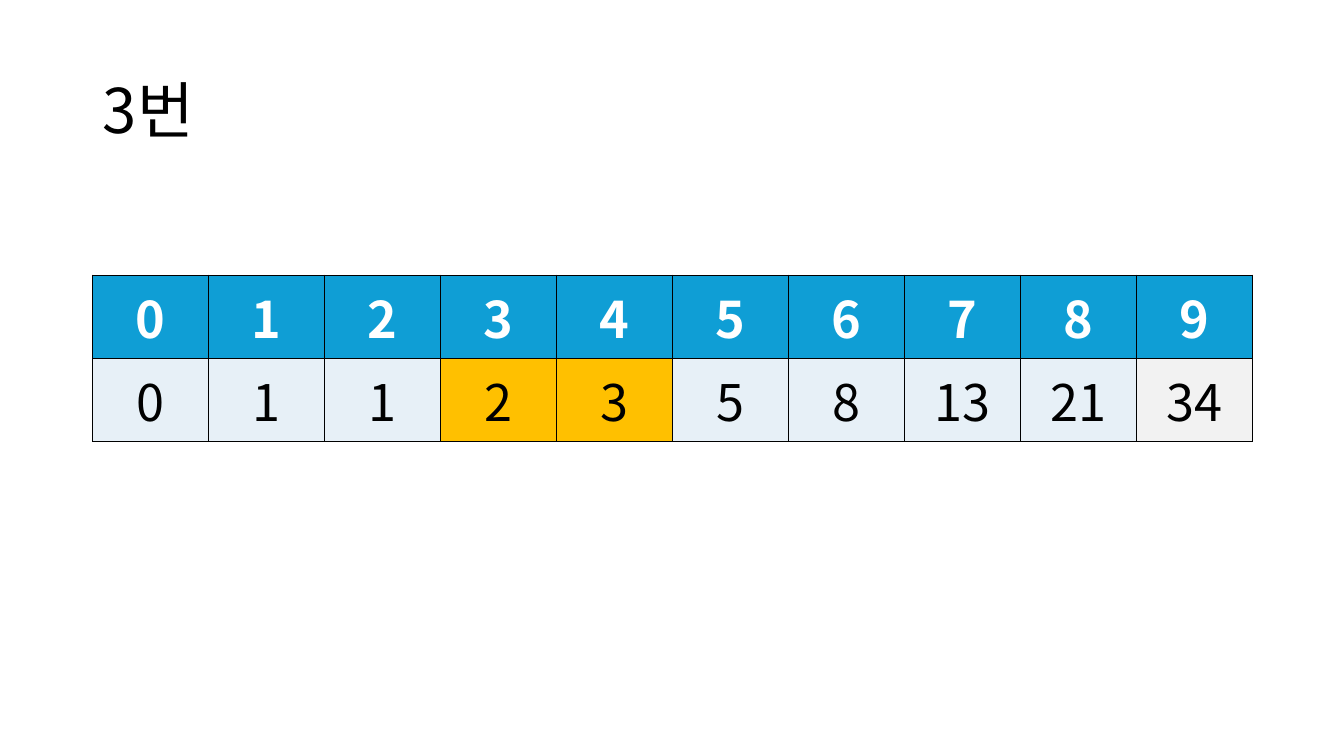
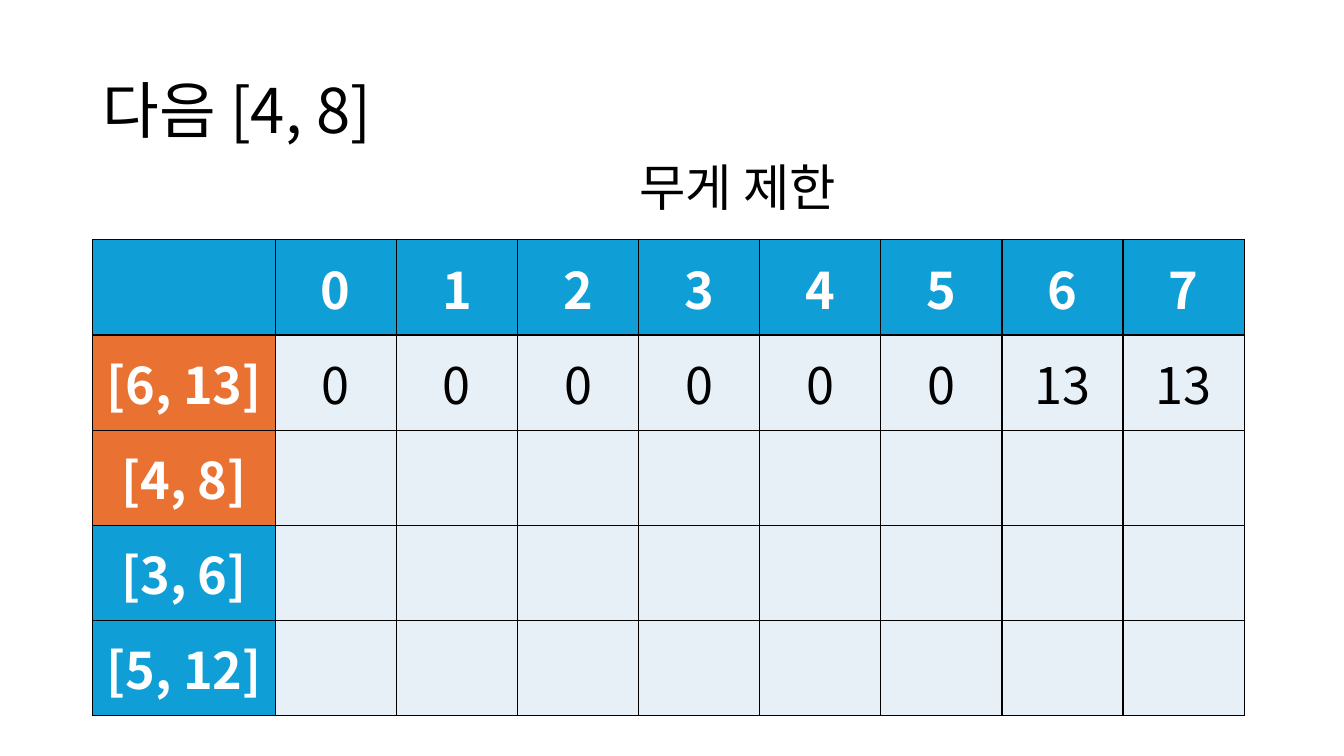
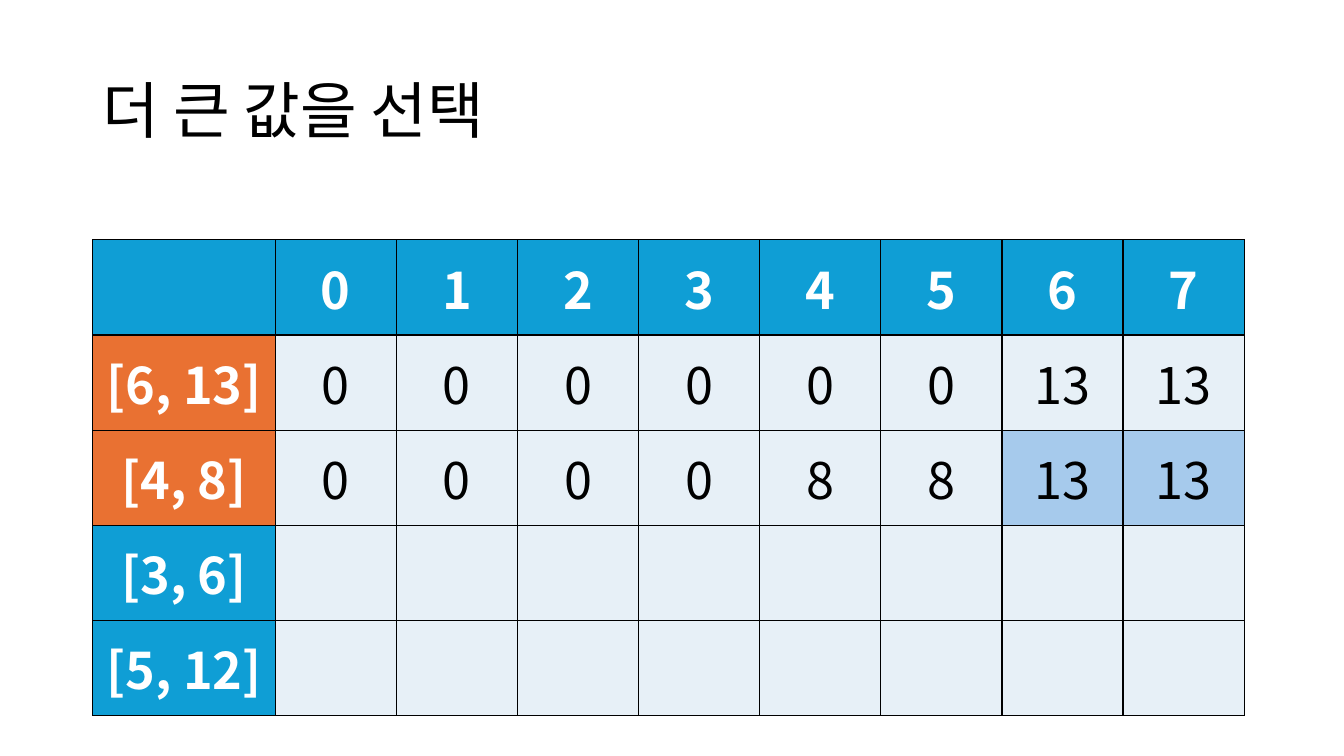
from lxml import etree
from pptx import Presentation
from pptx.dml.color import RGBColor
from pptx.enum.text import MSO_ANCHOR, PP_ALIGN
from pptx.oxml import parse_xml
from pptx.oxml.ns import nsdecls, qn
from pptx.util import Pt

LEFT, CENTER = PP_ALIGN.LEFT, PP_ALIGN.CENTER
MIDDLE = MSO_ANCHOR.MIDDLE
TITLE_ONLY = 5

# Shared look: lengths are px at 100 px to the inch
EMU_PER_PX = 9144
FONT = "Noto Sans CJK KR"
BLACK, WHITE = "000000", "FFFFFF"
HEADER, PALE, GRAY = "0F9ED5", "E7F0F7", "F2F2F2"
ORANGE, AMBER, LIGHT_BLUE = "E97132", "FFC000", "A6CAEC"
TITLE_BOX = (92, 40, 1150, 145)
SEQUENCE_BOX = (92, 273, 1150, 140)
GRID_BOX = (92, 238, 1142, 472)
LIMIT_BOX = (624, 150, 260, 71)
ITEM_COLUMN = 181

ITEMS = ["[6, 13]", "[4, 8]", "[3, 6]", "[5, 12]"]
WEIGHTS = list(range(8))
FIRST_ROW = [0, 0, 0, 0, 0, 0, 13, 13]
SECOND_ROW = [0, 0, 0, 0, 8, 8, 13, 13]


def px(length):
    return round(length * EMU_PER_PX)


def rgb(code):
    return RGBColor.from_string(code)


def write(frame, text, size=36, color=BLACK, bold=False, align=LEFT, spacing=None):
    para = frame.paragraphs[0]
    para.alignment = align
    para.line_spacing = spacing
    span = para.add_run()
    span.text = text
    span.font.size = Pt(size)
    span.font.bold = bold
    span.font.color.rgb = rgb(color)
    span.font.name = FONT
    # East Asian letters take their typeface from a separate element
    etree.SubElement(span.font._element, qn("a:ea")).set("typeface", FONT)


def add_borders(cell):
    properties = cell._tc.get_or_add_tcPr()
    for side in ("lnL", "lnR", "lnT", "lnB"):
        properties.append(parse_xml(
            f'<a:{side} {nsdecls("a")} w="{Pt(1)}"><a:solidFill>'
            f'<a:srgbClr val="{BLACK}"/></a:solidFill></a:{side}>'))


def add_titled_page(deck, title):
    page = deck.slides.add_slide(deck.slide_layouts[TITLE_ONLY])
    holder = page.shapes.title
    holder.left, holder.top, holder.width, holder.height = map(px, TITLE_BOX)
    holder.text_frame.vertical_anchor = MIDDLE
    write(holder.text_frame, title, size=44, spacing=0.9)
    return page


def add_value_table(page, box, rows, first_width=None, fills=None):
    """Fill the box with equal rows and columns; first_width sets the label column.

    fills maps (row, column) to a colour that replaces the usual one.
    """
    left, top, width, height = box
    fills = fills or {}
    count = len(rows[0])
    table = page.shapes.add_table(len(rows), count, *map(px, box)).table

    # Column and row sizes
    if first_width is None:
        widths = [width / count] * count
    else:
        widths = [first_width] + [(width - first_width) / (count - 1)] * (count - 1)
    for column, column_width in zip(table.columns, widths):
        column.width = px(column_width)
    for row in table.rows:
        row.height = px(height / len(rows))

    # Cells
    for r, values in enumerate(rows):
        for c, value in enumerate(values):
            cell = table.cell(r, c)
            is_header = r == 0 or (c == 0 and first_width is not None)
            add_borders(cell)
            cell.fill.solid()
            cell.fill.fore_color.rgb = rgb(fills.get((r, c), HEADER if is_header else PALE))
            cell.vertical_anchor = MIDDLE
            if value != "":
                write(cell.text_frame, str(value), bold=is_header, align=CENTER,
                      color=WHITE if is_header else BLACK)


def add_sequence_page(deck):
    page = add_titled_page(deck, "3번")
    rows = [range(10), [0, 1, 1, 2, 3, 5, 8, 13, 21, 34]]
    add_value_table(page, SEQUENCE_BOX, rows,
                    fills={(1, 3): AMBER, (1, 4): AMBER, (1, 9): GRAY})


def add_knapsack_page(deck, title, solved, fills=None):
    """Draw the item-by-weight grid with its solved rows filled in."""
    page = add_titled_page(deck, title)
    blank = [""] * len(WEIGHTS)
    results = solved + [blank] * (len(ITEMS) - len(solved))
    rows = [[""] + WEIGHTS] + [[item] + result for item, result in zip(ITEMS, results)]
    current_items = {(1, 0): ORANGE, (2, 0): ORANGE}
    add_value_table(page, GRID_BOX, rows, ITEM_COLUMN, {**current_items, **(fills or {})})
    return page


def add_limit_label(page, box):
    label = page.shapes.add_textbox(*map(px, box))
    label.text_frame.word_wrap = True
    write(label.text_frame, "무게 제한")


def main():
    deck = Presentation()
    deck.slide_width, deck.slide_height = px(1333), px(750)

    add_sequence_page(deck)
    page = add_knapsack_page(deck, "다음 [4, 8]", [FIRST_ROW])
    add_limit_label(page, LIMIT_BOX)
    add_knapsack_page(deck, "더 큰 값을 선택", [FIRST_ROW, SECOND_ROW],
                      {(2, 7): LIGHT_BLUE, (2, 8): LIGHT_BLUE})

    deck.save("out.pptx")


if __name__ == "__main__":
    main()
